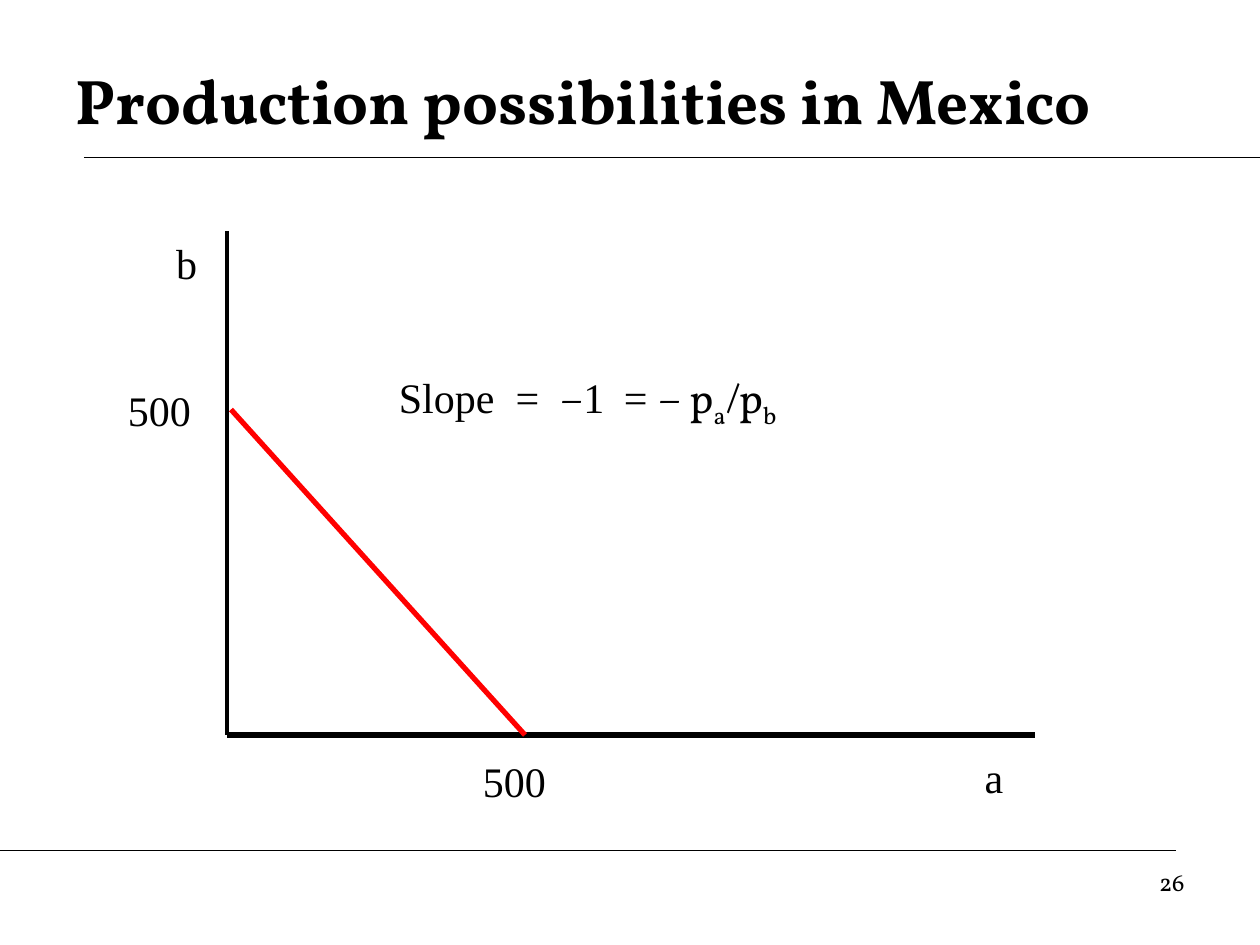
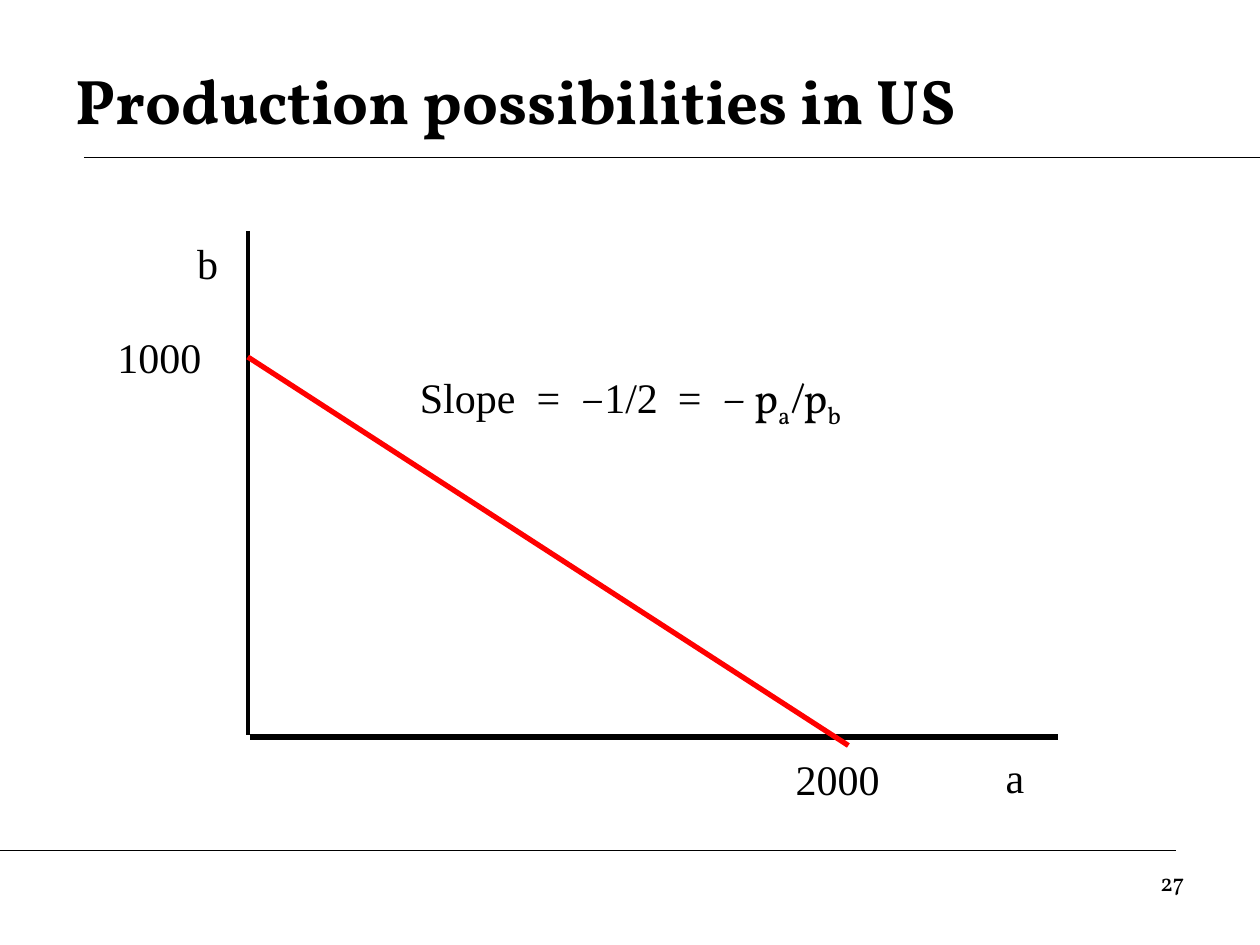
from dataclasses import dataclass

from lxml.etree import SubElement
from pptx import Presentation
from pptx.dml.color import RGBColor
from pptx.enum.shapes import MSO_CONNECTOR
from pptx.enum.text import MSO_ANCHOR, MSO_AUTO_SIZE, PP_ALIGN
from pptx.oxml.ns import qn
from pptx.slide import Slide
from pptx.text.text import Font, _Paragraph
from pptx.util import Pt

BLACK, RED = "000000", "FF0000"
SERIF, HEAD = "Times New Roman", "Vollkorn"
TOP, BASE = 132, 420
Point = tuple[float, float]


@dataclass
class Graph:
    """One production frontier; all lengths are in points."""
    title: str
    page: int
    axis: float
    floor: Point
    line: tuple[Point, Point]
    yval: str
    ypos: Point
    xval: str
    xpos: Point
    slope: list[tuple[str, str]]
    tabs: list[float]


GRAPHS = [
    Graph("Production possibilities in Mexico", 26, 129.6, (129.6, BASE),
          ((132, 234), (300, BASE)), "500", (66, 216), "500", (268.8, 428.4),
          [("Slope\t=\t", SERIF), ("−", HEAD), ("1\t= ", SERIF)],
          [66.7, 92.2, 128.6]),
    Graph("Production possibilities in US", 27, 141.6, (142.8, 421.2),
          ((141.6, 204), (484.8, 426)), "1000", (60, 186), "2000", (447.6, 427.2),
          [("Slope\t=\t", SERIF), ("−", HEAD), ("1/2\t=\t", SERIF)],
          [66.7, 92.2, 147.5, 173]),
]


def color(code: str) -> RGBColor:
    return RGBColor.from_string(code)


def style(font: Font, size: float, name: str, bold: bool = False) -> None:
    font.size, font.name, font.bold = Pt(size), name, bold
    font.color.rgb = color(BLACK)


def rule(slide: Slide, start: Point, end: Point, width: float,
         code: str = BLACK) -> None:
    ends = [Pt(n) for n in (*start, *end)]
    line = slide.shapes.add_connector(MSO_CONNECTOR.STRAIGHT, *ends)
    line.line.color.rgb = color(code)
    line.line.width = Pt(width)
    SubElement(line.element.spPr, qn("a:effectLst"))


def label(slide: Slide, text: str, spot: Point, width: float,
          size: float = 24, name: str = SERIF) -> _Paragraph:
    box = slide.shapes.add_textbox(Pt(spot[0]), Pt(spot[1]), Pt(width), Pt(36))
    box.text_frame.word_wrap = True
    para = box.text_frame.paragraphs[0]
    if text:
        para.text = text
        style(para.font, size, name)
    return para


def slope(slide: Slide, graph: Graph) -> None:
    """Write the slope equation, with tab stops and subscripts."""
    para = label(slide, "", (graph.axis + 91.2, 208.8), 270)
    stops = SubElement(para._p.get_or_add_pPr(), qn("a:tabLst"))
    for stop in graph.tabs:
        SubElement(stops, qn("a:tab"), pos=str(Pt(stop)), algn="l")
    tail = [("− p", HEAD), ("a", HEAD), ("/p", HEAD), ("b", HEAD)]
    for text, name in graph.slope + tail:
        run = para.add_run()
        run.text = text
        style(run.font, 24, name)
        if text in ("a", "b"):
            run._r.get_or_add_rPr().set("baseline", "-25000")


def frame(slide: Slide, graph: Graph) -> None:
    """Add the title, the two rules and the page number."""
    rule(slide, (48, 90), (720, 90), 0.75)
    rule(slide, (0, 486), (672, 486), 0.75)
    title = slide.shapes.title
    title.left, title.top, title.width, title.height = Pt(36), Pt(24), Pt(648), Pt(66)
    text = title.text_frame
    text.text = graph.title
    text.auto_size = MSO_AUTO_SIZE.NONE
    text.vertical_anchor = MSO_ANCHOR.MIDDLE
    para = text.paragraphs[0]
    para.alignment = PP_ALIGN.LEFT
    style(para.font, 36, HEAD, True)
    page = label(slide, str(graph.page), (516, 492), 168, 14, HEAD)
    page.alignment = PP_ALIGN.RIGHT


def plot(slide: Slide, graph: Graph) -> None:
    axis, (left, floor) = graph.axis, graph.floor
    rule(slide, (axis, TOP), (axis, BASE), 2.25)
    rule(slide, (left, floor), (left + 462, floor), 3)
    label(slide, "b", (axis - 36, TOP), 30)
    label(slide, "a", (axis + 426, 426), 36)
    rule(slide, *graph.line, 3, RED)
    label(slide, graph.xval, graph.xpos, 85)
    label(slide, graph.yval, graph.ypos, 75.6)
    slope(slide, graph)


def main() -> None:
    deck = Presentation()
    deck.slide_width, deck.slide_height = Pt(720), Pt(540)
    for graph in GRAPHS:
        slide = deck.slides.add_slide(deck.slide_layouts[5])
        frame(slide, graph)
        plot(slide, graph)
    deck.save("out.pptx")


if __name__ == "__main__":
    main()
